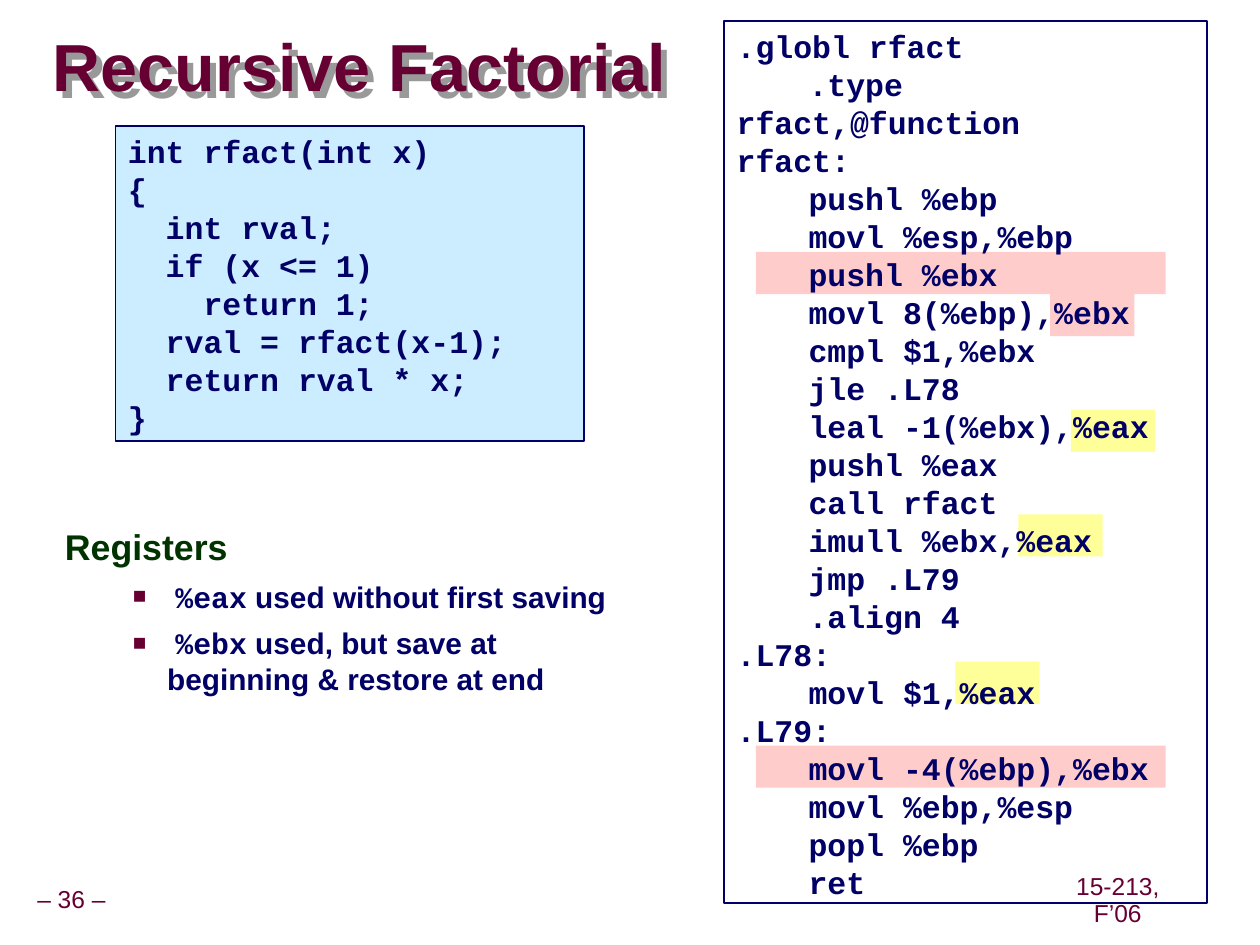
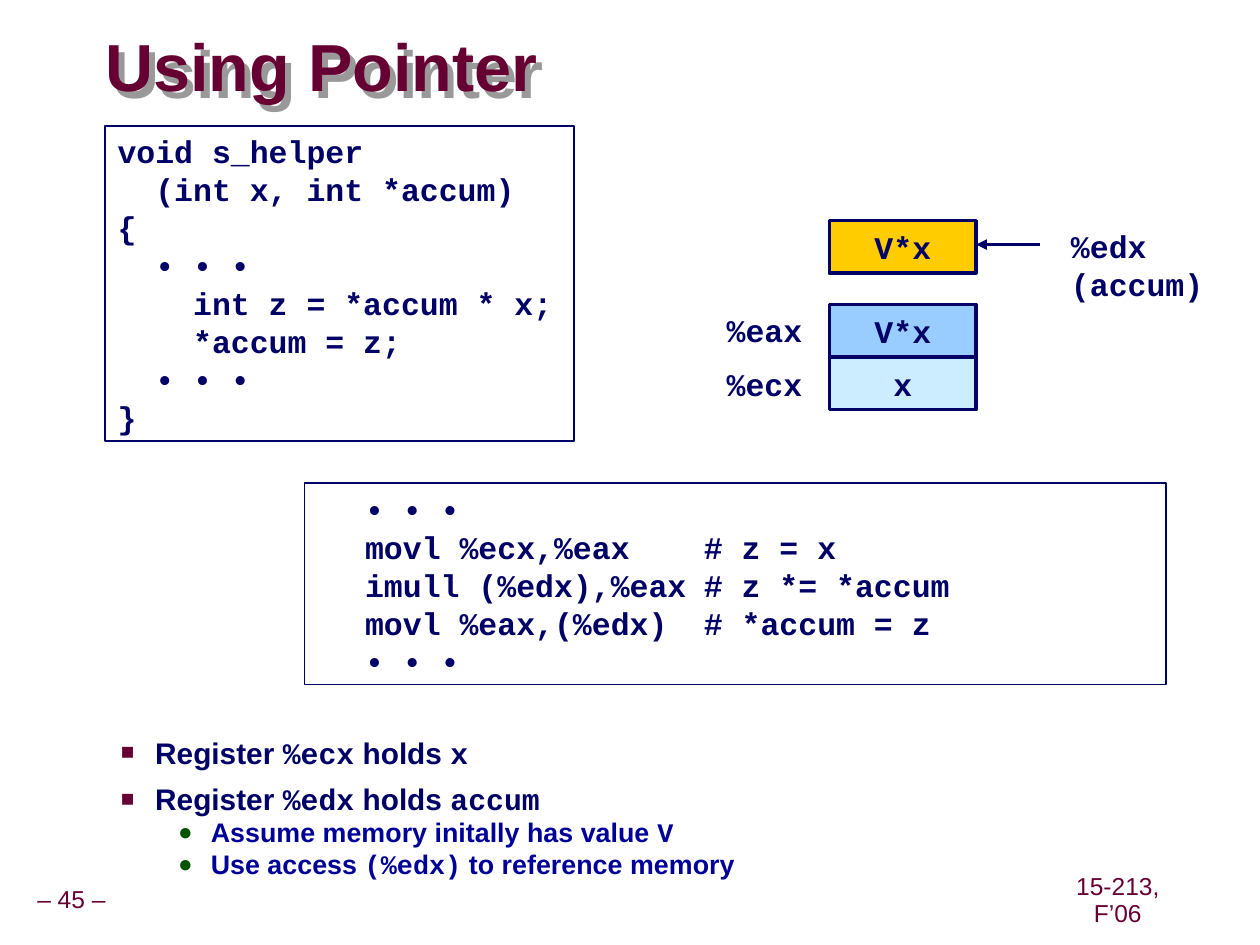
"""Build two lecture slides on recursive factorial and pointer code."""
from dataclasses import dataclass

from lxml import etree
from pptx import Presentation
from pptx import util as u
from pptx.dml.color import RGBColor
from pptx.enum import shapes, text
from pptx.oxml import parse_xml
from pptx.oxml.ns import nsdecls, qn


@dataclass(frozen=True)
class Theme:
    maroon: str = "660033"
    navy: str = "000066"
    blue: str = "000099"
    dark_green: str = "003300"
    green: str = "005400"
    shadow: str = "999999"
    pale_blue: str = "CCECFF"
    sky: str = "99CCFF"
    gold: str = "FFCC00"
    yellow: str = "FFFF99"
    pink: str = "FFCCCC"
    prose: str = "Arial"
    mono: str = "Courier New"
    title_size: float = 38
    code_size: float = 18
    code_line: float = 21.7
    footer_size: float = 14


theme = Theme()


def add_box(slide, place, fill=None, line_width=0):
    left, top, width, height = [u.Cm(length) for length in place]
    if fill or line_width:
        shape = slide.shapes.add_shape(shapes.MSO_SHAPE.RECTANGLE, left, top, width, height)
        shape.shadow.inherit = False
        if fill:
            shape.fill.solid()
            shape.fill.fore_color.rgb = RGBColor.from_string(fill)
        else:
            shape.fill.background()
        if line_width:
            shape.line.color.rgb = RGBColor.from_string(theme.navy)
            shape.line.width = u.Pt(line_width)
        else:
            shape.line.fill.background()
    else:
        shape = slide.shapes.add_textbox(left, top, width, height)
    shape.text_frame.word_wrap = True
    shape.text_frame.vertical_anchor = text.MSO_ANCHOR.TOP
    return shape


def write(shape, content, font=theme.mono, size=theme.code_size, color=theme.navy,
          bold=True, spacing=u.Pt(theme.code_line), align=text.PP_ALIGN.LEFT, tabs=()):
    shape.text_frame.text = content
    for paragraph in shape.text_frame.paragraphs:
        if tabs:
            tab_list = etree.SubElement(paragraph._p.get_or_add_pPr(), qn("a:tabLst"))
            for tab in tabs:
                etree.SubElement(tab_list, qn("a:tab"), pos=str(int(u.Cm(tab))), algn="l")
        paragraph.alignment = align
        paragraph.line_spacing = spacing
        for run in paragraph.runs:
            run.font.name = font
            run.font.size = u.Pt(size)
            run.font.bold = bold
            run.font.color.rgb = RGBColor.from_string(color)


levels = {
    "heading": dict(margin=1.07, indent=-1.07, size=20.4, color=theme.dark_green,
                    spacing=0.85, before=15, bullet=None),
    "item": dict(margin=2.06, indent=-0.69, size=17, color=theme.navy,
                 spacing=1.0, before=6.2, bullet=("■", theme.maroon, 75)),
    "detail": dict(margin=3.18, indent=-0.66, size=15.3, color=theme.blue,
                   spacing=0.87, before=2.2, bullet=("●", theme.green, 90)),
}

factorial_code = """int rfact(int x)
{
  int rval;
  if (x <= 1)
    return 1;
  rval = rfact(x-1);
  return rval * x;
}"""

pointer_code = """void s_helper
  (int x, int *accum)
{
  • • •
    int z = *accum * x;
    *accum = z;
  • • •
}"""

factorial_assembly = """.globl rfact
	.type	 rfact,@function
rfact:
	pushl %ebp
	movl %esp,%ebp
	pushl %ebx
	movl 8(%ebp),%ebx
	cmpl $1,%ebx
	jle .L78
	leal -1(%ebx),%eax
	pushl %eax
	call rfact
	imull %ebx,%eax
	jmp .L79
	.align 4
.L78:
	movl $1,%eax
.L79:
	movl -4(%ebp),%ebx
	movl %ebp,%esp
	popl %ebp
	ret"""

pointer_assembly = """	• • •
	movl %ecx,%eax	# z = x
	imull (%edx),%eax	# z *= *accum
	movl %eax,(%edx)	# *accum = z
	• • •"""

highlights = [
    (21.59, 8.26, 1.7, theme.yellow),
    (20.53, 10.37, 1.7, theme.yellow),
    (19.26, 13.34, 1.7, theme.yellow),
    (21.17, 5.93, 1.7, theme.pink),
    (15.24, 15.03, 8.26, theme.pink),
    (15.24, 5.08, 8.26, theme.pink),
]

pages = [
    dict(number="– 36 –", title="Recursive Factorial", title_left=1.06,
         code=factorial_code, code_left=2.33, code_fill=theme.pale_blue,
         assembly=factorial_assembly, assembly_place=(14.6, 0.42, 9.74, 17.78),
         tabs=(1.45, 3.02, 5.08), highlights=highlights,
         notes_place=(1.06, 10.58, 11.64, 3.81),
         notes=[("heading", "Registers"),
                ("item", " `%eax` used without first saving"),
                ("item", " `%ebx` used, but save at beginning & restore at end")]),
    dict(number="– 45 –", title="Using Pointer", title_left=2.12,
         code=pointer_code, code_left=2.12, code_fill=None,
         assembly=pointer_assembly, assembly_place=(6.14, 9.74, 17.36, 4.06),
         tabs=(0.97, 7.8), highlights=[],
         notes_place=(0.82, 14.68, 23.09, 3.23),
         notes=[("item", "Register `%ecx` holds `x`"),
                ("item", "Register `%edx` holds `accum`"),
                ("detail", "Assume memory initally has value `V`"),
                ("detail", "Use access `(%edx)` to reference memory")]),
]

presentation = Presentation()
presentation.slide_width = u.Cm(25.4)
presentation.slide_height = u.Cm(19.05)

for page in pages:
    slide = presentation.slides.add_slide(presentation.slide_layouts[6])

    for left, width, label in [(0, 2.88, page["number"]), (21.01, 3.05, "15-213, F’06")]:
        footer = add_box(slide, (left, 17.77, width, 0.79))
        footer.text_frame.word_wrap = False
        footer.text_frame.vertical_anchor = text.MSO_ANCHOR.MIDDLE
        write(footer, label, theme.prose, theme.footer_size, theme.maroon, False, 0.9,
              text.PP_ALIGN.CENTER)

    title = add_box(slide, (page["title_left"], 0.64, 14.85, 1.59))
    frame = title.text_frame
    frame.margin_left = frame.margin_right = frame.margin_top = frame.margin_bottom = 0
    frame.vertical_anchor = text.MSO_ANCHOR.MIDDLE
    write(title, page["title"], theme.prose, theme.title_size, theme.maroon, spacing=0.87)
    title._element.spPr.append(parse_xml(
        f'<a:effectLst {nsdecls("a")}><a:outerShdw dist="63500" dir="2700000" algn="ctr" '
        f'rotWithShape="0"><a:srgbClr val="{theme.shadow}"/></a:outerShdw></a:effectLst>'))

    for left, top, width, color in page["highlights"]:
        add_box(slide, (left, top, width, 0.85), color)

    code_box = add_box(slide, (page["code_left"], 2.54, 9.45, 6.35), page["code_fill"], 1)
    write(code_box, page["code"])
    assembly_box = add_box(slide, page["assembly_place"], line_width=1)
    write(assembly_box, page["assembly"], tabs=page["tabs"])

    notes_frame = add_box(slide, page["notes_place"]).text_frame
    for index, (level, content) in enumerate(page["notes"]):
        style = levels[level]
        paragraph = notes_frame.add_paragraph() if index else notes_frame.paragraphs[0]
        properties = paragraph._p.get_or_add_pPr()
        properties.set("marL", str(int(u.Cm(style["margin"]))))
        properties.set("indent", str(int(u.Cm(style["indent"]))))
        if style["bullet"]:
            symbol, color, percent = style["bullet"]
            bullet_color = etree.SubElement(properties, qn("a:buClr"))
            etree.SubElement(bullet_color, qn("a:srgbClr"), val=color)
            etree.SubElement(properties, qn("a:buSzPct"), val=str(percent * 1000))
            etree.SubElement(properties, qn("a:buFont"), typeface=theme.prose)
            etree.SubElement(properties, qn("a:buChar"), char=symbol)
        paragraph.line_spacing = style["spacing"]
        if index:
            paragraph.space_before = u.Pt(style["before"])
        for position, piece in enumerate(content.split("`")):
            if piece:
                run = paragraph.add_run()
                run.text = piece
                run.font.name = theme.mono if position % 2 else theme.prose
                run.font.size = u.Pt(style["size"])
                run.font.bold = True
                run.font.color.rgb = RGBColor.from_string(style["color"])

pointer_slide = presentation.slides[1]
cells = [(4.45, "V*x", theme.gold), (7.2, "x", theme.pale_blue), (6.14, "V*x", theme.sky)]
for top, value, color in cells:
    cell = add_box(pointer_slide, (16.72, top, 2.96, 1.06), color, 2)
    cell.text_frame.vertical_anchor = text.MSO_ANCHOR.MIDDLE
    write(cell, value, align=text.PP_ALIGN.CENTER)

register_labels = [
    ((14.4, 6.14, 2.03, 1.02), "%eax"),
    ((14.4, 7.24, 2.03, 1.02), "%ecx"),
    ((21.34, 4.45, 3.18, 1.78), "%edx\n(accum)"),
]
for place, label in register_labels:
    register_label = add_box(pointer_slide, place)
    register_label.text_frame.word_wrap = False
    write(register_label, label)

arrow = pointer_slide.shapes.add_connector(
    shapes.MSO_CONNECTOR.STRAIGHT, u.Cm(20.96), u.Cm(4.93), u.Cm(19.68), u.Cm(4.93))
arrow.line.color.rgb = RGBColor.from_string(theme.navy)
arrow.line.width = u.Pt(2)
etree.SubElement(arrow.line._get_or_add_ln(), qn("a:tailEnd"), type="triangle")
etree.SubElement(arrow._element.spPr, qn("a:effectLst"))

presentation.save("out.pptx")
